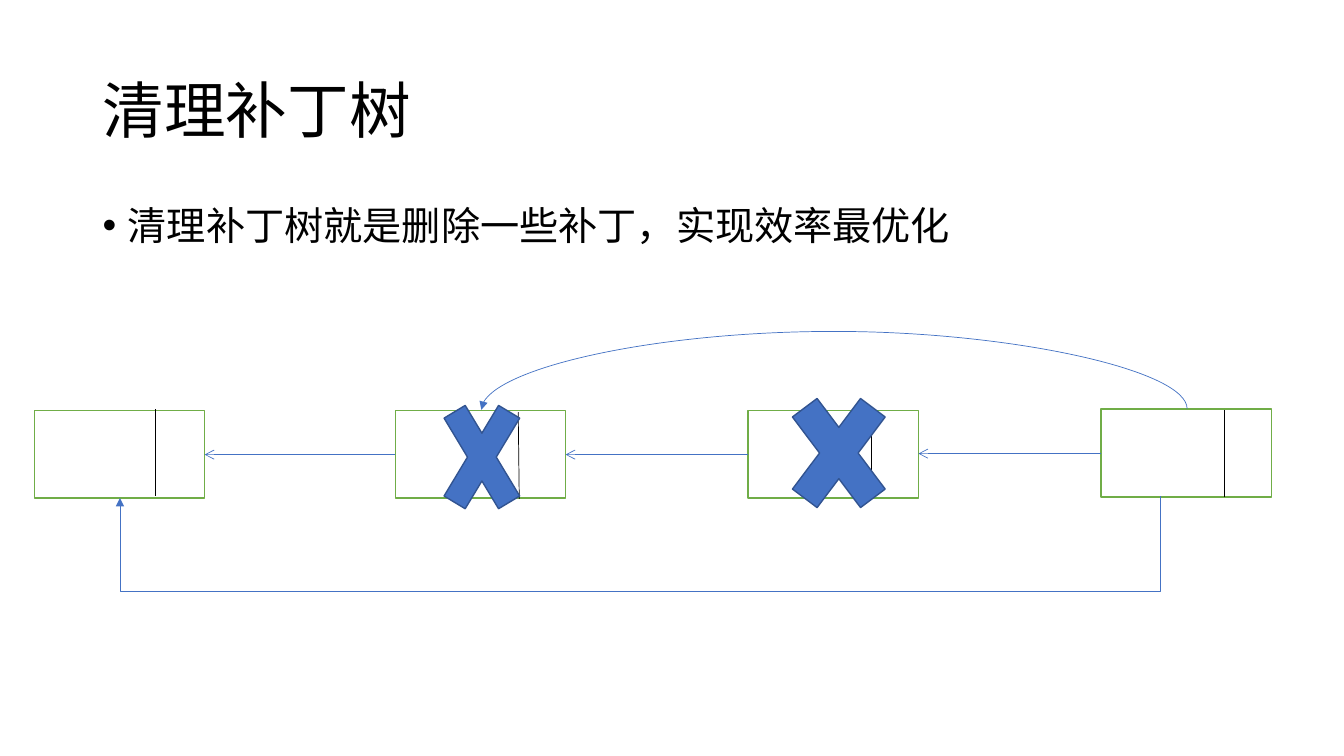
from lxml import etree
from pptx import Presentation
from pptx.dml.color import RGBColor
from pptx.enum import shapes, text
from pptx.oxml import ns
from pptx.util import Inches, Pt

FONT = "Noto Sans CJK SC"
BLACK, WHITE, GREEN, BLUE, NAVY = "000000", "FFFFFF", "70AD47", "4472C4", "325491"
LINK = shapes.MSO_CONNECTOR


def add_text(page, words, *, top, height, size, anchor, bullet=None):
    box = page.shapes.add_textbox(Inches(0.92), Inches(top), Inches(11.5), Inches(height))
    frame = box.text_frame
    frame.word_wrap = True
    frame.vertical_anchor = anchor
    para = frame.paragraphs[0]
    para.line_spacing = 0.9
    if bullet:
        layout = para._p.get_or_add_pPr()
        layout.set("marL", str(Inches(0.25)))
        layout.set("indent", str(-Inches(0.25)))
        etree.SubElement(layout, ns.qn("a:buFont"), typeface="Arial")
        etree.SubElement(layout, ns.qn("a:buChar"), char=bullet)
    span = para.add_run()
    span.text = words
    span.font.size = Pt(size)
    span.font.name = FONT
    span.font.color.rgb = RGBColor.from_string(BLACK)
    etree.SubElement(span._r.get_or_add_rPr(), ns.qn("a:ea"), typeface=FONT)


def add_link(page, begin, end, *, kind=LINK.STRAIGHT, color=BLUE, tail=None, adjust=()):
    """Draw a thin connector; adjust holds its bend positions as fractions of its size."""
    link = page.shapes.add_connector(kind, *(Inches(value) for value in begin + end))
    link.line.color.rgb = RGBColor.from_string(color)
    link.line.width = Pt(0.5)
    if tail:
        etree.SubElement(link.line._get_or_add_ln(), ns.qn("a:tailEnd"), type=tail)
    properties = link._element.spPr
    etree.SubElement(properties, ns.qn("a:effectLst"))
    geometry = properties.find(ns.qn("a:prstGeom"))
    guides = geometry.find(ns.qn("a:avLst"))
    for number, fraction in enumerate(adjust, 1):
        name = "adj1" if len(adjust) > 1 else "adj"
        name = f"adj{number}"
        etree.SubElement(guides, ns.qn("a:gd"), name=name, fmla=f"val {round(fraction * 100000)}")
    return link


deck = Presentation()
deck.slide_width, deck.slide_height = Inches(13.33), Inches(7.5)
page = deck.slides.add_slide(deck.slide_layouts[6])

add_text(page, "清理补丁树", top=0.4, height=1.45, size=44, anchor=text.MSO_ANCHOR.MIDDLE)
add_text(page, "清理补丁树就是删除一些补丁，实现效率最优化", top=2, height=4.76, size=28,
         anchor=text.MSO_ANCHOR.TOP, bullet="•")

# Patch nodes and the two crosses that delete the middle ones
RECT, CROSS = shapes.MSO_SHAPE.RECTANGLE, shapes.MSO_SHAPE.MATH_MULTIPLY
NODE_WIDTH, NODE_HEIGHT = 1.69, 0.87
node_places = [(0.34, 4.07), (3.92, 4.07), (7.42, 4.07), (10.92, 4.06)]
figures = [(RECT, left, top, NODE_WIDTH, NODE_HEIGHT, WHITE, GREEN) for left, top in node_places]
figures += [(CROSS, 7.67, 3.63, 1.3, 1.73, BLUE, NAVY), (CROSS, 4.26, 3.67, 1.04, 1.73, BLUE, NAVY)]
crosses = []
for preset, left, top, width, height, fill, outline in figures:
    shape = page.shapes.add_shape(preset, Inches(left), Inches(top), Inches(width), Inches(height))
    shape.shadow.inherit = False
    shape.fill.solid()
    shape.fill.fore_color.rgb = RGBColor.from_string(fill)
    shape.line.color.rgb = RGBColor.from_string(outline)
    shape.line.width = Pt(1)
    if preset == CROSS:
        crosses.append(shape)

dividers = [(1.54, 1.54, 4.06), (5.14, 5.15, 4.09), (8.64, 8.64, 4.08), (12.14, 12.14, 4.07)]
for top_x, bottom_x, top in dividers:
    add_link(page, (top_x, top), (bottom_x, top + 0.86), color=BLACK)

for (target, _), (source, top) in zip(node_places, node_places[1:]):
    add_link(page, (source, top + 0.44), (target + NODE_WIDTH, top + 0.44), tail="arrow")

# The arc is laid out upright and turned by three quarters
arc = add_link(page, (8.28, 7.56), (8.27, 0.56), kind=LINK.CURVE, tail="triangle", adjust=[-78])
arc._element.spPr.xfrm.set("rot", str(270 * 60000))

# Crosses lie over the dividers and the arc
for cross in crosses:
    page.shapes._spTree.append(cross._element)

bypass = add_link(page, (11.52, 4.92), (1.19, 4.94), kind=LINK.ELBOW, tail="triangle",
                  adjust=[0.001, 47])
bypass._element.spPr.find(ns.qn("a:prstGeom")).set("prst", "bentConnector4")

deck.save("out.pptx")
